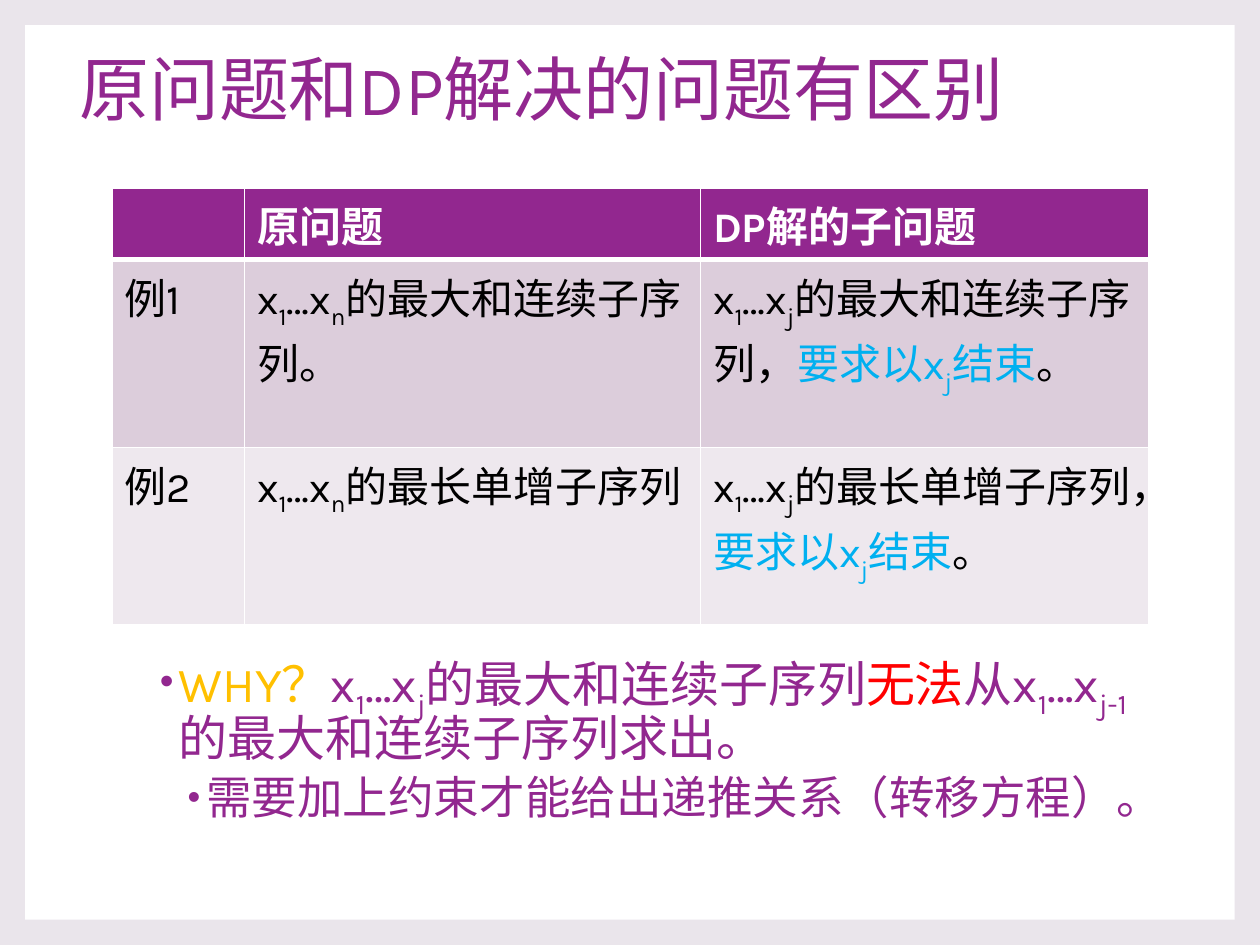
from lxml.etree import SubElement
from pptx import Presentation
from pptx.dml.color import RGBColor
from pptx.enum.shapes import MSO_SHAPE
from pptx.enum.text import MSO_ANCHOR
from pptx.oxml import parse_xml
from pptx.oxml.ns import nsdecls, qn
from pptx.util import Emu, Inches, Pt

FONT = "Karla"
PURPLE, WHITE, BLACK = "92278F", "FFFFFF", "000000"
SKY, GOLD, RED = "00B0F0", "FFC000", "FF0000"
BACKDROP = "EAE5EB"
ROW_FILLS = [PURPLE, "DCCDDB", "EEE8EE"]

# A paragraph is a list of (text, colour); text between bars is subscript.
TITLE = [("原问题和DP解决的问题有区别", PURPLE)]
ENDS_AT_XJ = [("要求以x|j|结束", SKY), ("。", BLACK)]

# Each cell is a list of paragraphs.
ROWS = [
    [[], [[("原问题", WHITE)]], [[("DP解的子问题", WHITE)]]],
    [
        [[("例1", BLACK)]],
        [[("x|1|…x|n|的最大和连续子序列。", BLACK)]],
        [[("x|1|…x|j|的最大和连续子序列，", BLACK)] + ENDS_AT_XJ],
    ],
    [
        [[("例2", BLACK)]],
        [[("x|1|…x|n|的最长单增子序列", BLACK)]],
        [[("x|1|…x|j|的最长单增子序列，", BLACK)], ENDS_AT_XJ],
    ],
]
COLUMN_WIDTHS = [1.05, 3.62, 3.56]
ROW_HEIGHTS = [0.57, 1.49, 1.13]

# (size, left margin, content)
BULLETS = [
    (28, 0.38, [
        ("WHY？", GOLD),
        ("x|1|…x|j|的最大和连续子序列", PURPLE),
        ("无法", RED),
        ("从x|1|…x|j-1|的最大和连续子序列求出。", PURPLE),
    ]),
    (26, 0.6, [("需要加上约束才能给出递推关系（转移方程）。", PURPLE)]),
]
BULLET_HANG = 0.15


def rgb(colour):
    return RGBColor.from_string(colour)


def write(paragraph, content, size, bold=False):
    for text, colour in content:
        for i, part in enumerate(text.split("|")):
            run = paragraph.add_run()
            run.text = part
            font = run.font
            font.name, font.size, font.bold = FONT, Pt(size), bold
            font.color.rgb = rgb(colour)
            if i % 2:
                font._element.set("baseline", "-25000")


def add_bullet(paragraph, margin):
    properties = paragraph._p.get_or_add_pPr()
    properties.set("marL", str(Inches(margin)))
    properties.set("indent", str(-Inches(BULLET_HANG)))
    colour = SubElement(properties, qn("a:buClr"))
    SubElement(colour, qn("a:srgbClr"), val=PURPLE)
    SubElement(properties, qn("a:buSzPct"), val="80000")
    SubElement(properties, qn("a:buFont"), typeface="Arial")
    SubElement(properties, qn("a:buChar"), char="•")


def set_borders(cell, top, bottom):
    widths = {"lnL": 1, "lnR": 1, "lnT": top, "lnB": bottom}
    properties = cell._tc.get_or_add_tcPr()
    for i, (side, width) in enumerate(widths.items()):
        properties.insert(i, parse_xml(
            f'<a:{side} {nsdecls("a")} w="{Pt(width)}"><a:solidFill>'
            f'<a:srgbClr val="{WHITE}"/></a:solidFill></a:{side}>'))


def add_text_area(slide, left, top, width, height, anchor):
    area = slide.shapes.add_textbox(*map(Inches, (left, top, width, height)))
    frame = area.text_frame
    frame.word_wrap = True
    frame.vertical_anchor = anchor
    return frame


def add_page(slide, inset=0.2):
    slide.background.fill.solid()
    slide.background.fill.fore_color.rgb = rgb(BACKDROP)
    page = slide.shapes.add_shape(
        MSO_SHAPE.RECTANGLE, Inches(inset), Inches(inset),
        Inches(10 - 2 * inset), Inches(7.5 - 2 * inset))
    page.shadow.inherit = False
    page.fill.solid()
    page.fill.fore_color.rgb = rgb(WHITE)
    page.line.fill.background()


def add_comparison(slide):
    table = slide.shapes.add_table(
        len(ROWS), len(COLUMN_WIDTHS), Inches(0.89), Inches(1.49),
        Inches(sum(COLUMN_WIDTHS)), Inches(sum(ROW_HEIGHTS))).table
    for column, width in zip(table.columns, COLUMN_WIDTHS):
        column.width = Inches(width)
    for r, cells in enumerate(ROWS):
        table.rows[r].height = Inches(ROW_HEIGHTS[r])
        for c, paragraphs in enumerate(cells):
            cell = table.cell(r, c)
            cell.fill.solid()
            cell.fill.fore_color.rgb = rgb(ROW_FILLS[r])
            set_borders(cell, top=3 if r == 1 else 1, bottom=3 if r == 0 else 1)
            frame = cell.text_frame
            for i, content in enumerate(paragraphs):
                paragraph = frame.add_paragraph() if i else frame.paragraphs[0]
                write(paragraph, content, 24, bold=r == 0)


def add_reasons(slide):
    frame = add_text_area(slide, 0.94, 5.14, 8.23, 1.49, MSO_ANCHOR.TOP)
    for i, (size, margin, content) in enumerate(BULLETS):
        paragraph = frame.add_paragraph() if i else frame.paragraphs[0]
        paragraph.level = i
        add_bullet(paragraph, margin)
        paragraph.line_spacing = 0.9
        paragraph.space_before = Pt(1.5 if i else 0)
        paragraph.space_after = Pt(3)
        write(paragraph, content, size)


def main():
    deck = Presentation()
    deck.slide_width, deck.slide_height = Inches(10), Inches(7.5)
    slide = deck.slides.add_slide(deck.slide_layouts[6])
    add_page(slide)
    title = add_text_area(slide, 0.53, 0.29, 8.95, 0.89, MSO_ANCHOR.MIDDLE)
    title.paragraphs[0].line_spacing = 0.9
    write(title.paragraphs[0], TITLE, 40)
    add_comparison(slide)
    add_reasons(slide)
    deck.save("out.pptx")


if __name__ == "__main__":
    main()
